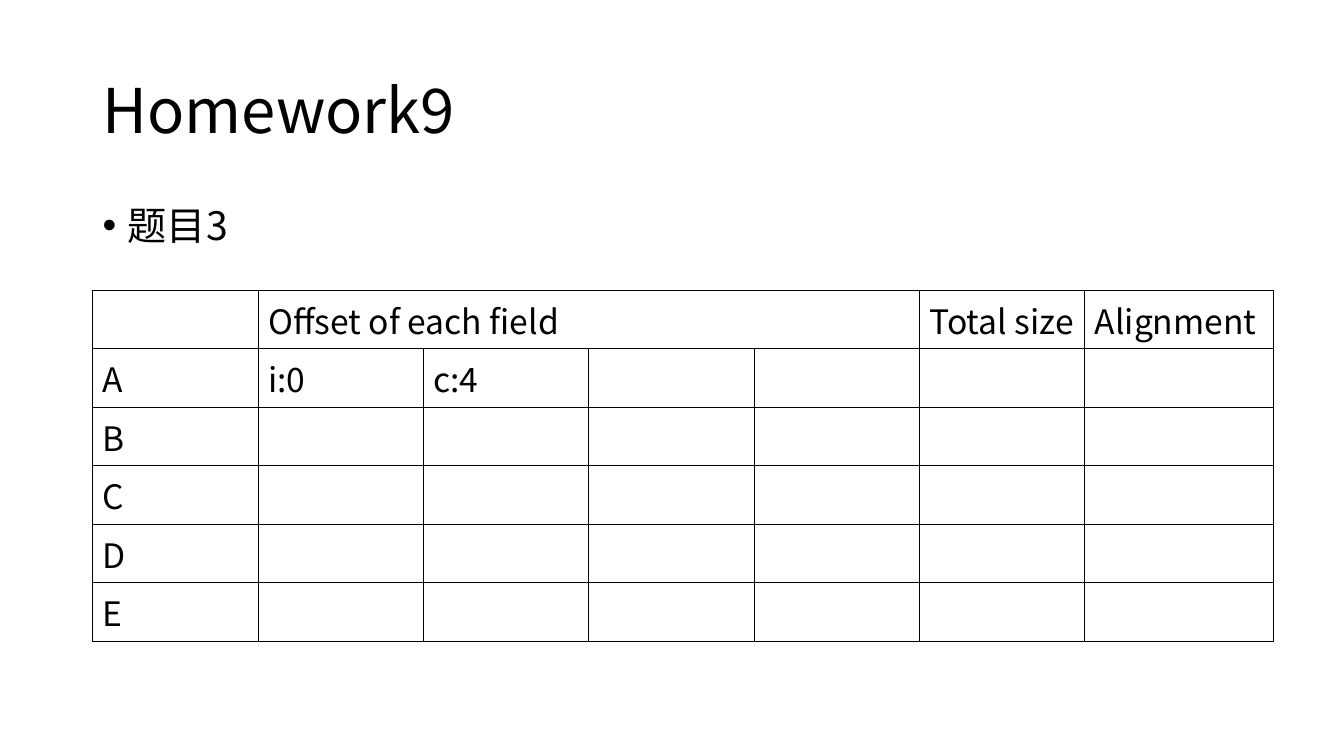
import pptx
import pptx.dml.color
import pptx.enum.text
import pptx.oxml
import pptx.oxml.ns
import pptx.util
from dataclasses import dataclass
from pptx.util import Inches


@dataclass(frozen=True)
class Theme:
    font: str = "Noto Sans CJK SC"
    ink: str = "000000"
    title_size: int = 44
    body_size: int = 28
    table_size: int = 24
    border_width: float = 0.48


theme = Theme()
MIDDLE = pptx.enum.text.MSO_ANCHOR.MIDDLE
TOP = pptx.enum.text.MSO_ANCHOR.TOP


def write(paragraph, text, size):
    run = paragraph.add_run()
    run.text = text
    font_format = {"name": theme.font, "size": pptx.util.Pt(size), "bold": False}
    for name, value in font_format.items():
        setattr(run.font, name, value)
    run.font.color.rgb = pptx.dml.color.RGBColor.from_string(theme.ink)
    east_asian = pptx.oxml.parse_xml(
        f'<a:ea {pptx.oxml.ns.nsdecls("a")} typeface="{theme.font}"/>')
    run.font._element.append(east_asian)


def add_border(cell):
    properties = cell._tc.get_or_add_tcPr()
    width = pptx.util.Pt(theme.border_width)
    for index, side in enumerate(("lnL", "lnR", "lnT", "lnB")):
        properties.insert(index, pptx.oxml.parse_xml(
            f'<a:{side} {pptx.oxml.ns.nsdecls("a")} w="{width}">'
            f'<a:solidFill><a:srgbClr val="{theme.ink}"/></a:solidFill></a:{side}>'))


presentation = pptx.Presentation()
presentation.slide_width = Inches(13.33)
presentation.slide_height = Inches(7.5)
slide = presentation.slides.add_slide(presentation.slide_layouts[6])

# Title and bullet
text_boxes = [
    ("Homework9", 0.4, 1.45, theme.title_size, MIDDLE, 0),
    ("题目3", 2, 4.76, theme.body_size, TOP, 10),
]
for text, top, height, size, anchor, space_before in text_boxes:
    shape = slide.shapes.add_textbox(
        Inches(0.92), Inches(top), Inches(11.5), Inches(height))
    frame_format = {"word_wrap": True, "vertical_anchor": anchor}
    for name, value in frame_format.items():
        setattr(shape.text_frame, name, value)
    paragraph = shape.text_frame.paragraphs[0]
    paragraph.line_spacing = 0.9
    paragraph.space_before = pptx.util.Pt(space_before)
    write(paragraph, text, size)

bullet_properties = paragraph._p.get_or_add_pPr()
bullet_properties.set("marL", str(Inches(0.25)))
bullet_properties.set("indent", str(Inches(-0.25)))
for bullet in ('<a:buFont {} typeface="Arial"/>', '<a:buChar {} char="•"/>'):
    bullet_properties.append(
        pptx.oxml.parse_xml(bullet.format(pptx.oxml.ns.nsdecls("a"))))

# Answer table
rows = [
    ["", "Offset of each field", "", "", "", "Total size", "Alignment"],
    ["A", "i:0", "c:4"],
    ["B"],
    ["C"],
    ["D"],
    ["E"],
]
column_widths = [1.64] * 6 + [1.87]
row_height = 0.58
table = slide.shapes.add_table(
    len(rows), len(column_widths), Inches(0.92), Inches(2.88),
    Inches(sum(column_widths)), Inches(row_height * len(rows))).table
table.first_row = False
table.horz_banding = False
for column, width in zip(table.columns, column_widths):
    column.width = Inches(width)

for row_index, texts in enumerate(rows):
    for column_index in range(len(column_widths)):
        cell = table.cell(row_index, column_index)
        cell.fill.background()
        cell.vertical_anchor = MIDDLE
        add_border(cell)
        if column_index < len(texts) and texts[column_index]:
            write(cell.text_frame.paragraphs[0], texts[column_index], theme.table_size)
table.cell(0, 1).merge(table.cell(0, 4))

presentation.save("out.pptx")
